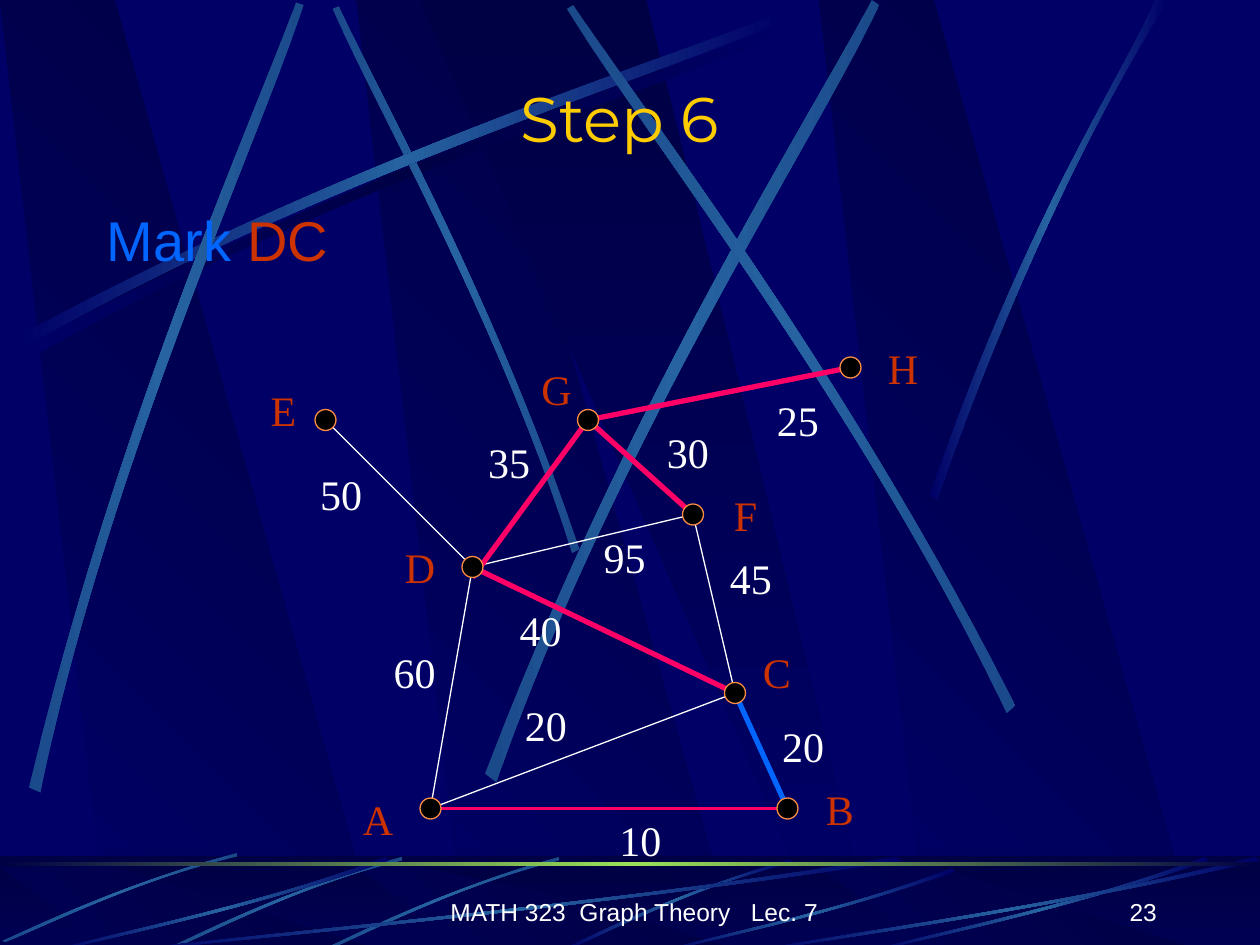
import copy

import pptx
import pptx.dml.color
import pptx.enum.shapes
import pptx.enum.text
import pptx.oxml
import pptx.oxml.ns
import pptx.util

Inches = pptx.util.Inches
Pt = pptx.util.Pt
qn = pptx.oxml.ns.qn
ALIGN = pptx.enum.text.PP_ALIGN
ANCHOR = pptx.enum.text.MSO_ANCHOR
SHAPE = pptx.enum.shapes.MSO_SHAPE

NAVY, DARK, STEEL = "000066", "000044", "2663A0"
WHITE, RUST, PINK, BLUE = "FFFFFF", "CC3300", "FF0066", "0066FF"
FADING = (NAVY, STEEL, NAVY)
STEADY = ("1B4A8B", STEEL, "1B4A8B")
SHADOW = (NAVY, DARK, NAVY)

# Each ribbon: colours, then two edges, each a cubic curve of four points.
RIBBONS = [
    (SHADOW, [(0.2, 2.75), (2.84, 1.34), (5.24, 0.59), (6.26, 0.18)],
     [(6.29, 0.24), (5.28, 0.69), (2.54, 1.51), (0.23, 2.85)]),
    (STEADY, [(4.6, 4.36), (3.91, 2.34), (3.02, 0.77), (2.69, 0.05)],
     [(2.64, 0.07), (2.95, 0.79), (3.98, 2.58), (4.54, 4.39)]),
    (FADING, [(0.14, 2.67), (2.78, 1.25), (5.18, 0.51), (6.2, 0.1)],
     [(6.23, 0.16), (5.22, 0.61), (2.48, 1.43), (0.17, 2.77)]),
    (STEADY, [(0.23, 6.25), (0.93, 3.34), (1.97, 1.05), (2.35, 0.02)],
     [(2.41, 0.04), (2.07, 1.08), (0.86, 3.68), (0.32, 6.29)]),
    (STEADY, [(3.85, 6.14), (4.98, 3.2), (6.38, 1.02), (6.92, 0)],
     [(6.98, 0.04), (6.49, 1.08), (4.86, 3.55), (3.94, 6.21)]),
    (STEADY, [(8.06, 5.6), (6.7, 2.93), (5.16, 0.95), (4.55, 0.04)],
     [(4.5, 0.07), (5.07, 1.01), (6.85, 3.25), (7.99, 5.66)]),
    (FADING, [(7.38, 3.93), (8.14, 1.73), (8.88, 0.66), (9.17, 0)],
     [(9.27, 0), (8.36, 1.45), (7.69, 3.22), (7.44, 3.97)]),
]
# Footer ribbons: colours, left, top, width and height.
FOOTER_ARCS = [
    (FADING, 4.48, 0.03, 1.8, 0.72), (STEADY, 2.56, 0.01, 1.88, 0.75),
    (STEADY, 1.31, 0.01, 1.88, 0.75), (STEADY, 0.02, -0.02, 1.86, 0.71),
]
FOOTER_SWEEPS = [
    (FADING, 1, 0.01, 6.17, 0.75), (FADING, 0.42, 0.01, 2.67, 0.75),
    (FADING, 5.27, 0.1, 2.31, 0.66), (FADING, 6.92, 0.01, 2.67, 0.75),
    (FADING, 6, 0.01, 4, 0.75),
]
ARC = ([(1, 0), (0.52, 0.34), (0.16, 0.8), (0, 0.98)],
       [(0.01, 1), (0.17, 0.83), (0.58, 0.29), (1, 0.04)])
SWEEP = ([(1, 0.04), (0.57, 0.57), (0.17, 0.85), (0.01, 1)],
         [(0, 0.99), (0.17, 0.81), (0.62, 0.51), (0.99, 0)])

# The graph lies on a grid of twelfths of an inch.
GRID = 1 / 12
# Vertex: dot centre, then top left corner of its letter.
VERTICES = {
    "E": ((7, 8), (0, 4)), "D": ((21, 22), (13, 19)),
    "A": ((17, 45), (9, 43)), "G": ((32, 8), (26, 2)),
    "B": ((51, 45), (53, 42)), "C": ((46, 34), (47, 29)),
    "F": ((42, 17), (44, 14)), "H": ((57, 3), (59, 0)),
}
# Edge: start, end, colour, line width, drop of its end, weight, weight left, top, width.
EDGES = [
    ("D", "E", WHITE, 0.75, 0, "50", 5, 12, 7),
    ("H", "G", PINK, 3, 0, "25", 48, 5, 8),
    ("F", "D", WHITE, 0.75, 0, "95", 30, 18, 11),
    ("C", "D", PINK, 3, 0, "40", 24, 25, 7),
    ("C", "F", WHITE, 0.75, 0, "45", 43, 20, 9),
    ("C", "A", WHITE, 0.75, 0, "20", 24, 34, 8),
    ("G", "F", PINK, 3, 0, "30", 37, 8, 9),
    ("A", "B", PINK, 2.25, 0, "10", 31, 45, 12),
    ("D", "A", WHITE, 0.75, 0, "60", 11, 29, 9),
    ("B", "C", BLUE, 3, 0, "20", 48, 36, 9),
    ("G", "D", PINK, 3, 1, "35", 21, 9, 7),
]


def color(value):
    return pptx.dml.color.RGBColor.from_string(value)


def fill_gradient(shape, colors, angle):
    """Spread the colours evenly along a clockwise angle, without outline."""
    shape.shadow.inherit = False
    shape.line.fill.background()
    shape.fill.gradient()
    shape.fill.gradient_angle = -angle % 360
    stops = shape._element.spPr.find(".//" + qn("a:gsLst"))
    for _ in colors[2:]:
        stops.append(copy.deepcopy(stops[-1]))
    for index, (stop, value) in enumerate(zip(shape.fill.gradient_stops, colors)):
        stop.position = index / (len(colors) - 1)
        stop.color.rgb = color(value)


def add_polygon(shapes, points, colors, angle):
    corners = [(Inches(x), Inches(y)) for x, y in points]
    builder = shapes.build_freeform(*corners[0])
    builder.add_line_segments(corners[1:], close=True)
    shape = builder.convert_to_shape()
    fill_gradient(shape, colors, angle)
    return shape


def add_ribbon(shapes, colors, edges, left, top, width=1, height=1):
    points = [(left + x * width, top + y * height) for edge in edges for x, y in edge]
    ribbon = add_polygon(shapes, points, colors, 0)
    segments = list(ribbon._element.spPr.iter(qn("a:lnTo")))
    for controls in (segments[:3], segments[4:7]):
        curve = pptx.oxml.parse_xml(
            "<a:cubicBezTo %s/>" % pptx.oxml.ns.nsdecls("a"))
        controls[0].addprevious(curve)
        for segment in controls:
            curve.append(segment[0])
            segment.getparent().remove(segment)


def add_beams(shapes, left, top, height):
    slanted = [(0.86, 1), (3.02, 1), (0.91, 0), (0, 0)]
    wide = [(3.33, 0), (6.58, 1), (6.94, 1), (5.13, 0)]
    for shift in (2.83, 0, 6.5):
        add_polygon(shapes, [(left + shift + x, top + y * height) for x, y in slanted],
                    (NAVY, DARK), 315)
    add_polygon(shapes, [(left + x, top + y * height) for x, y in wide], (DARK, NAVY), 90)


def add_rectangle(shapes, left, top, width, height):
    return shapes.add_shape(SHAPE.RECTANGLE, Inches(left), Inches(top),
                            Inches(width), Inches(height))


def add_backdrop(shapes, left, top, height):
    add_beams(shapes, left, top, height)
    for colors, *edges in RIBBONS:
        add_ribbon(shapes, colors, edges, left, top)


def add_footer_band(shapes, left, top, width, height):
    fill_gradient(add_rectangle(shapes, left, top, width, height), (DARK, NAVY), 90)
    add_beams(shapes, left, top + 0.09, height - 0.09)
    veil = add_rectangle(shapes, left, top, width, height)
    veil.shadow.inherit = False
    veil.line.fill.background()
    veil.fill.solid()
    veil.fill.fore_color.rgb = color(DARK)
    veil._element.spPr.find(".//" + qn("a:srgbClr")).append(pptx.oxml.parse_xml(
        '<a:alpha %s val="50000"/>' % pptx.oxml.ns.nsdecls("a")))
    for profile, ribbons in ((ARC, FOOTER_ARCS), (SWEEP, FOOTER_SWEEPS)):
        for colors, x, y, ribbon_width, ribbon_height in ribbons:
            add_ribbon(shapes, colors, profile, left + x, top + y,
                       ribbon_width, ribbon_height)
    rule = add_rectangle(shapes, left, top + 0.05, width, 0.03)
    fill_gradient(rule, (DARK, "9CE157", DARK), 0)


def decorate_master(master, slide):
    """Draw the decoration in a group, then move it behind the master's placeholders."""
    master.background.fill.solid()
    master.background.fill.fore_color.rgb = color(NAVY)
    group = slide.shapes.add_group_shape()
    add_backdrop(group.shapes, 0, 0, 7.5)
    add_footer_band(group.shapes, 0, 6.79, 10, 0.75)
    tree = master.shapes._spTree
    tree.insert(2, group._element)
    for number, properties in enumerate(tree.iter(qn("p:cNvPr")), 1):
        properties.set("id", str(number))


def style_font(font, size, name, value):
    font.size, font.name = Pt(size), name
    font.color.rgb = color(value)


def add_text(slide, box, text, size, font, value, align, anchor=ANCHOR.TOP):
    frame = slide.shapes.add_textbox(*map(Inches, box)).text_frame
    frame.word_wrap = True
    frame.vertical_anchor = anchor
    paragraph = frame.paragraphs[0]
    paragraph.text = text
    paragraph.alignment = align
    style_font(paragraph.font, size, font, value)
    return paragraph


def add_title(slide, *box):
    title = slide.shapes.title
    title.left, title.top, title.width, title.height = map(Inches, box)
    title.text_frame.text = "Step 6"
    title.text_frame.vertical_anchor = ANCHOR.MIDDLE
    paragraph = title.text_frame.paragraphs[0]
    paragraph.alignment = ALIGN.CENTER
    style_font(paragraph.font, 36, "Montserrat", "FFCC00")


def add_graph(slide, left, top):
    def place(x, y):
        return Inches(left + x * GRID), Inches(top + y * GRID)

    def add_label(text, x, y, width, value):
        add_text(slide, (left + x * GRID, top + y * GRID, width * GRID, 0.5), text, 24,
                 "Times New Roman", value, ALIGN.CENTER)

    for start, end, value, width, drop, *_ in EDGES:
        end_x, end_y = VERTICES[end][0]
        line = slide.shapes.add_connector(
            pptx.enum.shapes.MSO_CONNECTOR.STRAIGHT,
            *place(*VERTICES[start][0]), *place(end_x, end_y + drop))
        line.line.color.rgb = color(value)
        line.line.width = Pt(width)
        line._element.spPr.append(pptx.oxml.parse_xml(
            "<a:effectLst %s/>" % pptx.oxml.ns.nsdecls("a")))
    for (x, y), _ in VERTICES.values():
        dot = slide.shapes.add_shape(SHAPE.OVAL, *place(x - 1, y - 1),
                                     Inches(2 * GRID), Inches(2 * GRID))
        dot.shadow.inherit = False
        dot.fill.solid()
        dot.fill.fore_color.rgb = color("000000")
        dot.line.color.rgb = color("F98D43")
        dot.line.width = Pt(0.75)
    for *_, weight, x, y, width in EDGES:
        add_label(weight, x, y, width, WHITE)
    for letter, (_, corner) in VERTICES.items():
        add_label(letter, *corner, 6, RUST)


def main():
    presentation = pptx.Presentation()
    presentation.slide_width, presentation.slide_height = Inches(10), Inches(7.5)
    slide = presentation.slides.add_slide(presentation.slide_layouts[5])
    decorate_master(presentation.slide_master, slide)
    add_text(slide, (3.45, 6.9, 3.17, 0.5), "MATH 323  Graph Theory   Lec. 7", 14,
             "Arial", WHITE, ALIGN.CENTER, ANCHOR.BOTTOM)
    add_text(slide, (7.2, 6.9, 2.08, 0.5), "23", 14, "Arial", WHITE,
             ALIGN.RIGHT, ANCHOR.BOTTOM)
    add_title(slide, 0.67, 0.58, 8.5, 0.7)
    task = add_text(slide, (0.75, 1.58, 8.5, 5.08), "Mark ", 32, "Arial", BLUE, ALIGN.LEFT)
    edge_name = task.add_run()
    edge_name.text = "DC"
    edge_name.font.color.rgb = color(RUST)
    add_graph(slide, 2, 32 * GRID)
    presentation.save("out.pptx")


if __name__ == "__main__":
    main()
